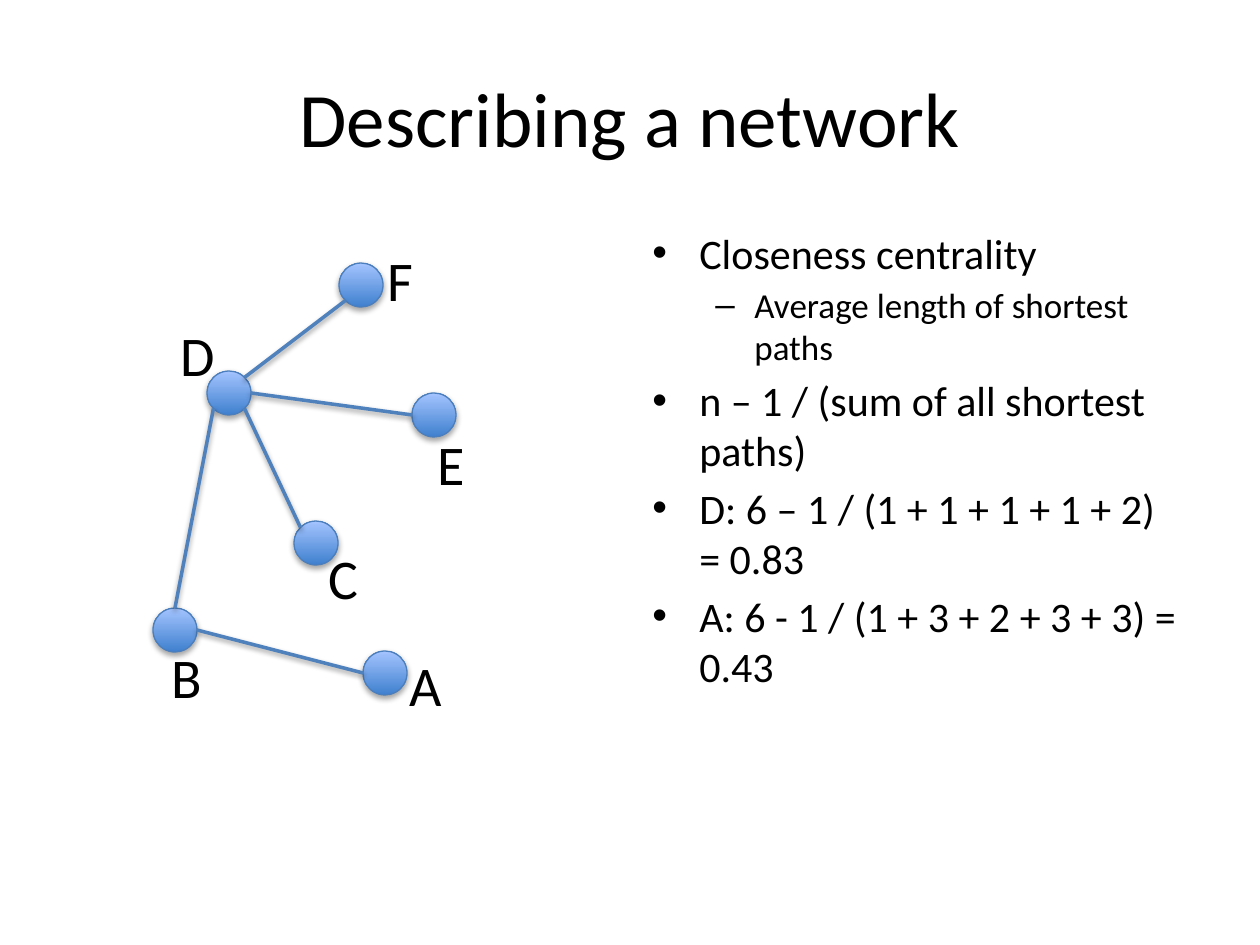
from lxml import etree
from pptx import Presentation, util as u
from pptx.dml.color import RGBColor
from pptx.enum import shapes, text
from pptx.oxml.ns import qn

TITLE = "Describing a network"
POINTS = [  # level, text
    (0, "Closeness centrality"),
    (1, "Average length of shortest paths"),
    (0, "n – 1 / (sum of all shortest paths)"),
    (0, "D: 6 – 1 / (1 + 1 + 1 + 1 + 2) = 0.83"),
    (0, "A: 6 - 1 / (1 + 3 + 2 + 3 + 3) = 0.43"),
]
LEVELS = [  # size, bullet, left margin, hanging indent
    (24, "•", 47, 47),
    (20, "–", 102, 39),
]
NODES = {  # name: (centre, left top of label)
    "D": ((229, 393), (168, 314)),
    "C": ((316, 543), (316, 537)),
    "E": ((434, 415), (425, 423)),
    "B": ((175, 630), (159, 636)),
    "A": ((385, 673), (397, 644)),
    "F": ((361, 285), (375, 239)),
}
EDGES = [  # node, side, node, side
    ("D", "SE", "C", "NW"),
    ("D", "E", "E", "W"),
    ("B", "N", "D", "SW"),
    ("A", "W", "B", "E"),
    ("D", "NE", "F", "SW"),
]
COLORS = {"text": "000000", "dark": "3F80CE", "light": "A4C4FF",
          "rim": "4B7EBC", "edge": "4F81BD"}
FONT = "Calibri"
RADIUS = 22


def px(n):
    return u.Emu(round(n * 914400 / 126))


def rgb(name):
    return RGBColor.from_string(COLORS[name])


def style(par, size):
    for run in par.runs:
        run.font.name, run.font.size = FONT, u.Pt(size)
        run.font.color.rgb = rgb("text")


def add_text(slide, box, words, size, wrap=True):
    frame = slide.shapes.add_textbox(*map(px, box)).text_frame
    frame.word_wrap = wrap
    frame.text = words
    for par in frame.paragraphs:
        style(par, size)
    return frame


def shade(shape, dist, alpha):
    """Cast a soft shadow straight down; call after the line is set."""
    effects = etree.SubElement(shape._element.spPr, qn("a:effectLst"))
    outer = etree.SubElement(effects, qn("a:outerShdw"), blurRad="40000",
                             dist=str(dist), dir="5400000", rotWithShape="0")
    color = etree.SubElement(outer, qn("a:srgbClr"), val="000000")
    etree.SubElement(color, qn("a:alpha"), val=str(alpha * 1000))


def add_node(slide, x, y):
    node = slide.shapes.add_shape(
        shapes.MSO_SHAPE.OVAL, px(x - RADIUS), px(y - RADIUS),
        px(2 * RADIUS), px(2 * RADIUS))
    node.fill.gradient()
    node.fill.gradient_angle = 90
    for stop, name in zip(node.fill.gradient_stops, ("dark", "light")):
        stop.color.rgb = rgb(name)
    node.line.color.rgb = rgb("rim")
    node.line.width = u.Pt(0.75)
    shade(node, 23000, 35)


def rim(name, side):
    """Point on a node's circle at a compass side."""
    x, y = NODES[name][0]
    reach = RADIUS / len(side) ** 0.5
    return (px(x + reach * (("E" in side) - ("W" in side))),
            px(y + reach * (("S" in side) - ("N" in side))))


def add_edge(slide, a, out, b, into):
    edge = slide.shapes.add_connector(
        shapes.MSO_CONNECTOR.STRAIGHT, *rim(a, out), *rim(b, into))
    edge.line.color.rgb = rgb("edge")
    edge.line.width = u.Pt(2)
    shade(edge, 20000, 38)


def add_points(slide):
    frame = add_text(slide, (640, 221, 557, 624),
                     "\n".join(words for _, words in POINTS), 24)
    for par, (level, _) in zip(frame.paragraphs, POINTS):
        size, mark, left, hang = LEVELS[level]
        par.level = level
        par.space_before = u.Pt(size / 6)
        style(par, size)
        props = par._p.get_or_add_pPr()
        props.set("marL", str(px(left)))
        props.set("indent", str(-px(hang)))
        etree.SubElement(props, qn("a:buFont"), typeface="Arial")
        etree.SubElement(props, qn("a:buChar"), char=mark)


def main():
    deck = Presentation()
    deck.slide_width, deck.slide_height = px(1260), px(945)
    slide = deck.slides.add_slide(deck.slide_layouts[6])

    title = add_text(slide, (63, 38, 1134, 158), TITLE, 44)
    title.vertical_anchor = text.MSO_ANCHOR.MIDDLE
    title.paragraphs[0].alignment = text.PP_ALIGN.CENTER
    add_points(slide)

    for centre, _ in NODES.values():
        add_node(slide, *centre)
    for edge in EDGES:
        add_edge(slide, *edge)
    for name, (_, corner) in NODES.items():
        add_text(slide, (*corner, 52, 81), name, 32)
    deck.save("out.pptx")


if __name__ == "__main__":
    main()
